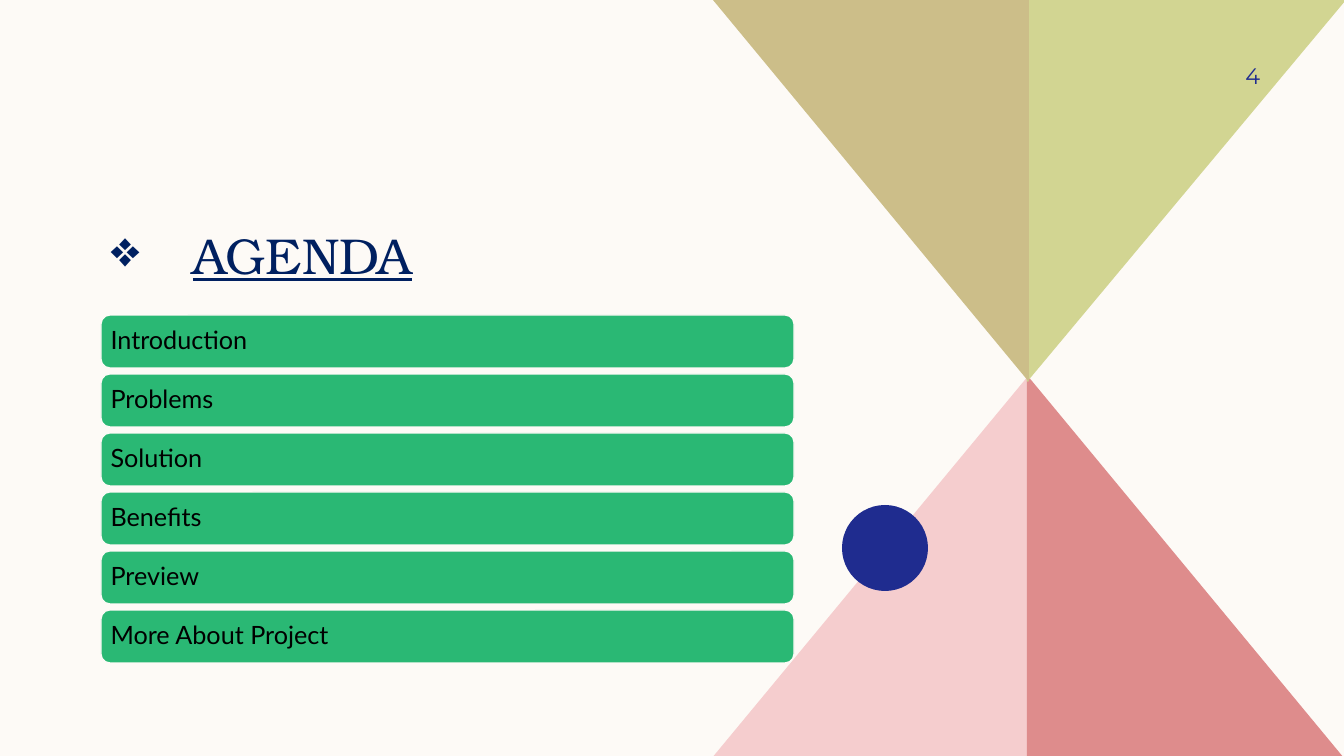
import pptx
import pptx.dml.color
import pptx.enum.shapes
import pptx.enum.text
import pptx.oxml
import pptx.oxml.ns
import pptx.util

TITLE = "AGENDA"
TITLE_BULLET = "❖"
AGENDA = ["Introduction", "Problems", "Solution", "Benefits", "Preview", "More About Project"]
PAGE_NUMBER = "4"

COLORS = {
    "background": "FDFAF6", "pink": "F5CDCE", "red": "DE8C8C", "lime": "D2D592",
    "tan": "CCBE89", "blue": "1F2C8F", "navy": "002060", "green": "2AB874", "black": "000000",
}

# Lengths in px
SLIDE_SIZE = (1344, 756)
TRIANGLES = [
    ("pink", [(1029, 375), (712, 758), (1029, 758)]),
    ("red", [(1027, 375), (1344, 758), (1027, 758)]),
    ("lime", [(1027, 382), (1346, 0), (1027, 0)]),
    ("tan", [(1029, 382), (713, 0), (1029, 0)]),
]
DOT_BOX = (842, 505, 86, 86)
TITLE_BOX = (101, 117, 726, 168)
TITLE_INDENT = 82
NUMBER_BOX = (1142, 50, 118, 52)
BAR_LEFT, BAR_TOP, BAR_WIDTH, BAR_HEIGHT, BAR_PITCH = 101, 315, 693, 53, 59

EMU_PER_PX = 12192000 / SLIDE_SIZE[0]
SHAPES = pptx.enum.shapes.MSO_SHAPE
ALIGN = pptx.enum.text.PP_ALIGN
ANCHOR = pptx.enum.text.MSO_ANCHOR


def px(length):
    return pptx.util.Emu(round(length * EMU_PER_PX))


def box(lengths):
    return [px(length) for length in lengths]


def rgb(name):
    return pptx.dml.color.RGBColor.from_string(COLORS[name])


def paint(shape, fill, line=None):
    shape.shadow.inherit = False
    shape.fill.solid()
    shape.fill.fore_color.rgb = rgb(fill)
    if line:
        shape.line.color.rgb = rgb(line)
        shape.line.width = pptx.util.Pt(1)
    else:
        shape.line.fill.background()


def write(shape, text, font, size, color, align, anchor, insets):
    """Fill the shape with one run; return its paragraph and run."""
    frame = shape.text_frame
    frame.word_wrap = True
    frame.vertical_anchor = anchor
    frame.margin_left, frame.margin_top, frame.margin_right, frame.margin_bottom = box(insets)
    paragraph = frame.paragraphs[0]
    paragraph.alignment = align
    run = paragraph.add_run()
    run.text = text
    run.font.name = font
    run.font.size = pptx.util.Pt(size)
    run.font.color.rgb = rgb(color)
    return paragraph, run


def add_bullet(paragraph, character, indent):
    properties = paragraph._p.get_or_add_pPr()
    properties.set("marL", str(px(indent)))
    properties.set("indent", str(-px(indent)))
    properties.append(pptx.oxml.parse_xml(
        f'<a:buChar {pptx.oxml.ns.nsdecls("a")} char="{character}"/>'))


def add_background(slide):
    slide.background.fill.solid()
    slide.background.fill.fore_color.rgb = rgb("background")
    for color, (start, *others) in TRIANGLES:
        builder = slide.shapes.build_freeform(*start, scale=EMU_PER_PX)
        builder.add_line_segments(others, close=True)
        paint(builder.convert_to_shape(), color)
    paint(slide.shapes.add_shape(SHAPES.OVAL, *box(DOT_BOX)), "blue")


def add_title(slide):
    title = slide.shapes.title
    title.left, title.top, title.width, title.height = box(TITLE_BOX)
    paragraph, run = write(title, TITLE, "TeX Gyre Bonum", 36, "navy",
                           ALIGN.LEFT, ANCHOR.BOTTOM, (10, 0, 10, 0))
    run.font.underline = True
    add_bullet(paragraph, TITLE_BULLET, TITLE_INDENT)


def add_agenda(slide):
    for index, topic in enumerate(AGENDA):
        place = (BAR_LEFT, BAR_TOP + index * BAR_PITCH, BAR_WIDTH, BAR_HEIGHT)
        bar = slide.shapes.add_shape(SHAPES.ROUNDED_RECTANGLE, *box(place))
        paint(bar, "green", "background")
        paragraph, _ = write(bar, topic, "Lato", 18, "black",
                             ALIGN.LEFT, ANCHOR.MIDDLE, (7, 7, 7, 7))
        paragraph.line_spacing = 0.9


def add_page_number(slide):
    number = slide.shapes.add_textbox(*box(NUMBER_BOX))
    write(number, PAGE_NUMBER, "Montserrat", 16, "blue",
          ALIGN.RIGHT, ANCHOR.MIDDLE, (10, 5, 0, 5))


def main():
    presentation = pptx.Presentation()
    presentation.slide_width, presentation.slide_height = box(SLIDE_SIZE)
    slide = presentation.slides.add_slide(presentation.slide_layouts[5])
    add_background(slide)
    add_title(slide)
    add_agenda(slide)
    add_page_number(slide)
    presentation.save("out.pptx")


if __name__ == "__main__":
    main()
